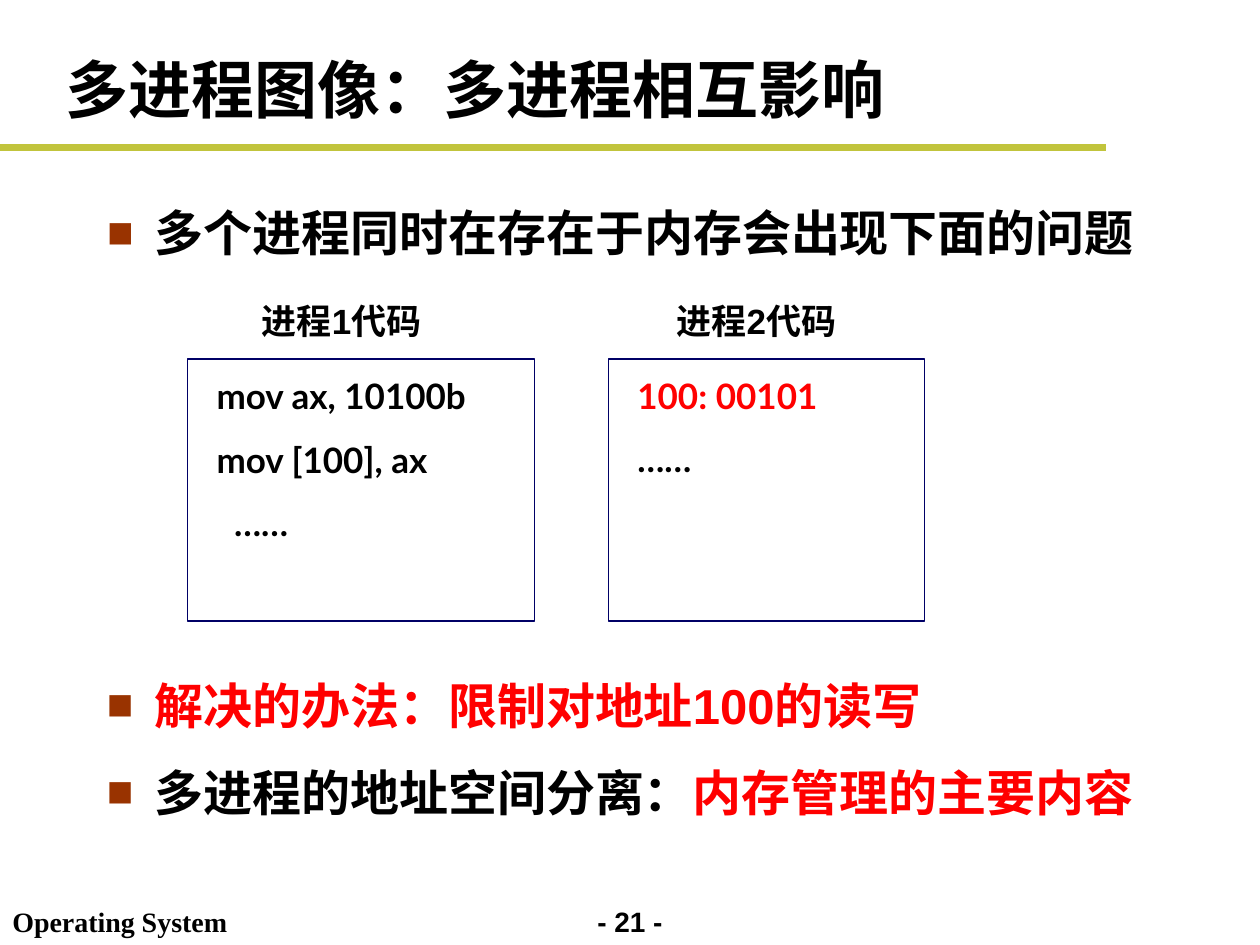
from dataclasses import dataclass
from typing import Any, NamedTuple

from lxml import etree
from pptx import Presentation
from pptx.dml.color import RGBColor
from pptx.enum import shapes, text
from pptx.oxml import ns
from pptx.util import Inches, Pt


@dataclass(frozen=True)
class Theme:
    ink: str = "000000"
    accent: str = "FF0000"
    paper: str = "FFFFFF"
    frame: str = "000066"
    rule: str = "C1C43C"
    bullet: str = "993300"
    sans: str = "Arial"
    serif: str = "Times New Roman"
    code: str = "Lato"
    title_size: int = 36
    body_size: int = 28
    code_size: int = 20
    footer_size: int = 16


THEME = Theme()


class Box(NamedTuple):
    left: float
    top: float
    width: float
    height: float


class Run(NamedTuple):
    words: str
    color: str = THEME.ink


class CodeLine(NamedTuple):
    run: Run
    indent: float = 0.13


class Process(NamedTuple):
    label: str
    label_left: float
    left: float
    width: float
    lines: list[CodeLine]


class Point(NamedTuple):
    top: float
    runs: list[Run]


class Footer(NamedTuple):
    words: str
    box: Box
    font: str
    align: Any


PROCESSES = [
    Process("进程1代码", 1.98, 1.49, 2.75, [
        CodeLine(Run("mov ax, 10100b")),
        CodeLine(Run("mov [100], ax")),
        CodeLine(Run("……"), 0.27),
    ]),
    Process("进程2代码", 5.27, 4.83, 2.51, [
        CodeLine(Run("100: 00101", THEME.accent)),
        CodeLine(Run("……")),
    ]),
]
POINTS = [
    Point(1.42, [Run("多个进程同时在存在于内存会出现下面的问题")]),
    Point(5.17, [Run("解决的办法：限制对地址100的读写", THEME.accent)]),
    Point(5.86, [Run("多进程的地址空间分离："), Run("内存管理的主要内容", THEME.accent)]),
]
FOOTERS = [
    Footer("- 21 -", Box(4.5, 7.13, 1, 0.37), THEME.sans, text.PP_ALIGN.CENTER),
    Footer("Operating System", Box(0, 7.13, 2.1, 0.37), THEME.serif, text.PP_ALIGN.LEFT),
]


def apply(target: Any, values: dict[str, Any]) -> None:
    for name, value in values.items():
        setattr(target, name, value)


def place(shape: Any, box: Box) -> None:
    apply(shape, {name: Inches(value) for name, value in box._asdict().items()})


def add_text_box(parent: Any, box: Box) -> Any:
    shape = parent.add_textbox(*map(Inches, box))
    shape.text_frame.word_wrap = True
    return shape


def write(paragraph: Any, runs: list[Run], font: str, size: int, **layout: Any) -> None:
    apply(paragraph, layout)
    for words, color in runs:
        run = paragraph.add_run()
        run.text = words
        apply(run.font, {"name": font, "size": Pt(size), "bold": True})
        run.font.color.rgb = RGBColor.from_string(color)


def add_bullet(paragraph: Any) -> None:
    properties = paragraph._p.get_or_add_pPr()
    indents = {"marL": Inches(0.38), "indent": Inches(-0.38)}
    for name, value in indents.items():
        properties.set(name, str(value))
    color = etree.SubElement(properties, ns.qn("a:buClr"))
    etree.SubElement(color, ns.qn("a:srgbClr"), val=THEME.bullet)
    etree.SubElement(properties, ns.qn("a:buSzPct"), val="90000")
    etree.SubElement(properties, ns.qn("a:buFont"), typeface=THEME.sans)
    etree.SubElement(properties, ns.qn("a:buChar"), char="■")


def draw_title(title: Any) -> None:
    place(title, Box(0.42, 0.33, 8.58, 0.74))
    apply(title.text_frame, {
        "vertical_anchor": text.MSO_ANCHOR.MIDDLE,
        "auto_size": text.MSO_AUTO_SIZE.NONE,
    })
    write(title.text_frame.paragraphs[0], [Run("多进程图像：多进程相互影响")],
          THEME.sans, THEME.title_size, alignment=text.PP_ALIGN.LEFT)


def draw_rule(slide: Any) -> None:
    rule = slide.shapes.add_connector(
        shapes.MSO_CONNECTOR.STRAIGHT, 0, Inches(1.17), Inches(8.78), Inches(1.17))
    rule.line.color.rgb = RGBColor.from_string(THEME.rule)
    rule.line.width = Pt(4)
    etree.SubElement(rule._element.spPr, ns.qn("a:effectLst"))


def draw_point(shape: Any, point: Point) -> None:
    place(shape, Box(0.75, point.top, 8.66, 0.95))
    shape.text_frame.auto_size = text.MSO_AUTO_SIZE.NONE
    paragraph = shape.text_frame.paragraphs[0]
    write(paragraph, point.runs, THEME.sans, THEME.body_size,
          line_spacing=1.3, space_before=Pt(7))
    add_bullet(paragraph)


def draw_process(slide: Any, process: Process) -> None:
    group = slide.shapes.add_group_shape().shapes
    frame_box = Box(process.left, 2.85, process.width, 2.08)
    frame = group.add_shape(shapes.MSO_SHAPE.RECTANGLE, *map(Inches, frame_box))
    frame.shadow.inherit = False
    frame.fill.solid()
    frame.fill.fore_color.rgb = RGBColor.from_string(THEME.paper)
    frame.line.color.rgb = RGBColor.from_string(THEME.frame)
    frame.line.width = Pt(0.75)

    code_box = Box(process.left, 2.92, process.width, 0.51 * len(process.lines) - 0.08)
    code = add_text_box(group, code_box).text_frame
    for number, line in enumerate(process.lines):
        paragraph = code.add_paragraph() if number else code.paragraphs[0]
        write(paragraph, [line.run], THEME.code, THEME.code_size, space_before=Pt(12.5))
        paragraph._p.get_or_add_pPr().set("marL", str(Inches(line.indent)))

    label = add_text_box(group, Box(process.label_left, 2.33, 1.7, 0.44))
    write(label.text_frame.paragraphs[0], [Run(process.label)], THEME.sans, THEME.code_size)


def draw_footer(slide: Any, footer: Footer) -> None:
    shape = add_text_box(slide.shapes, footer.box)
    write(shape.text_frame.paragraphs[0], [Run(footer.words)], footer.font,
          THEME.footer_size, alignment=footer.align, space_before=Pt(10))


def main() -> None:
    presentation = Presentation()
    apply(presentation, {"slide_width": Inches(10), "slide_height": Inches(7.5)})
    slide = presentation.slides.add_slide(presentation.slide_layouts[1])
    for footer in FOOTERS:
        draw_footer(slide, footer)
    draw_rule(slide)
    draw_title(slide.shapes.title)
    for process in PROCESSES:
        draw_process(slide, process)
    first, *others = POINTS
    draw_point(slide.placeholders[1], first)
    for point in others:
        draw_point(add_text_box(slide.shapes, Box(0.75, point.top, 8.66, 0.95)), point)
    presentation.save("out.pptx")


if __name__ == "__main__":
    main()
